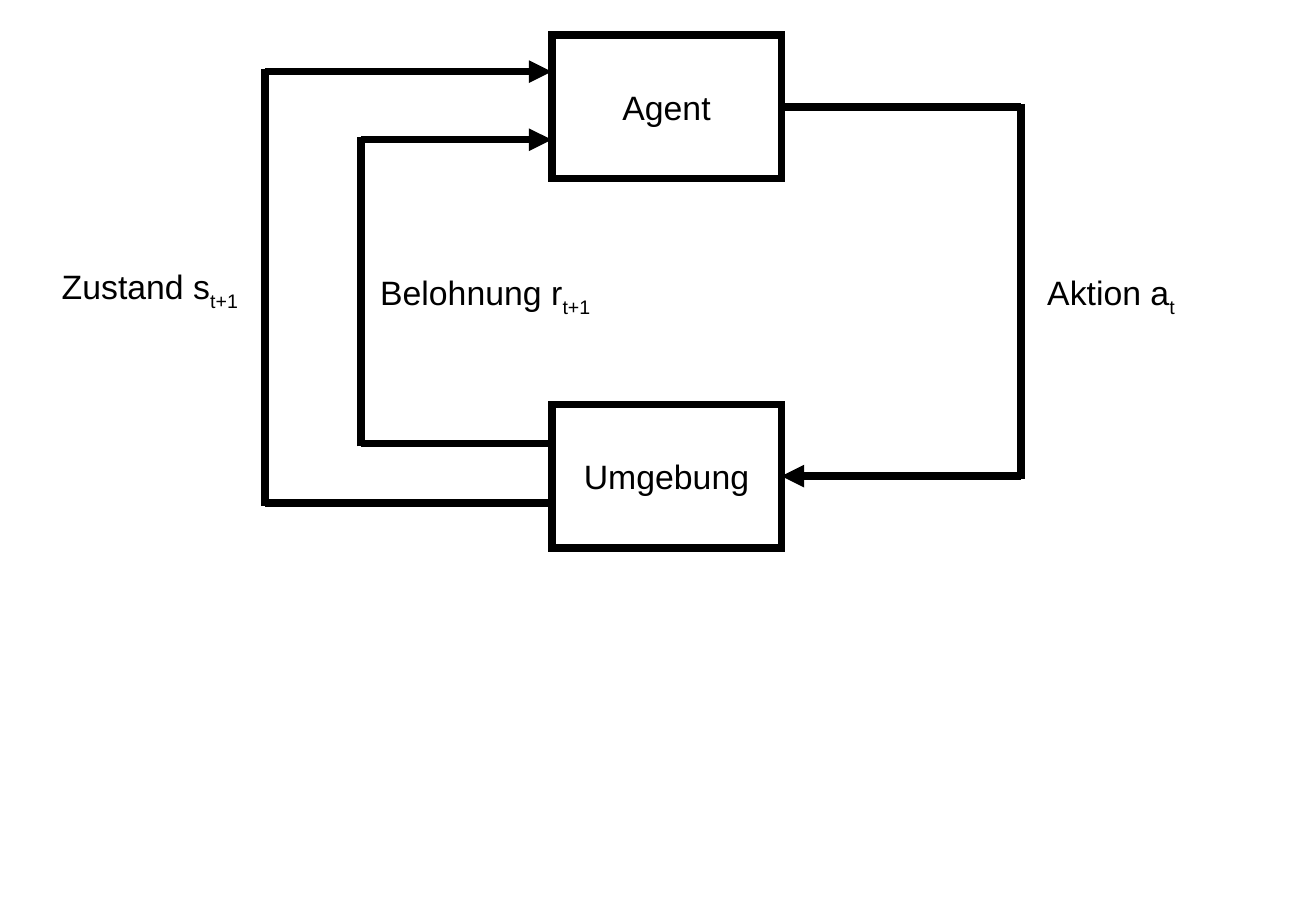
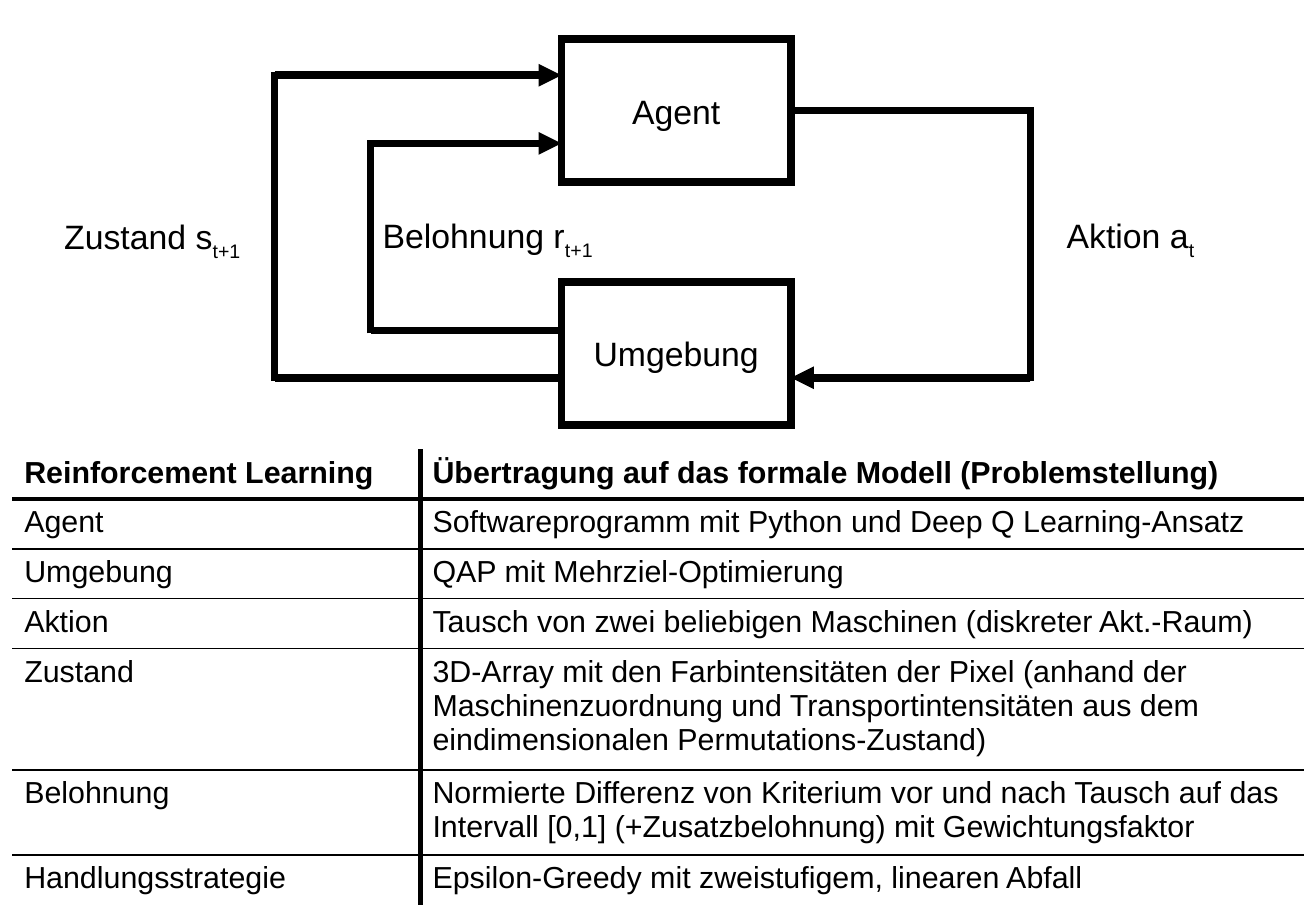
from dataclasses import dataclass

from lxml.etree import SubElement as Sub
from pptx import Presentation
from pptx.dml.color import RGBColor as Rgb
from pptx.enum.shapes import MSO_CONNECTOR as Conn, MSO_SHAPE as Form
from pptx.enum.text import MSO_ANCHOR as Anchor, MSO_AUTO_SIZE as Auto, PP_ALIGN as Align
from pptx.oxml.ns import qn
from pptx.slide import Slide
from pptx.text.text import Font
from pptx.util import Inches, Pt

# Shared style; all lengths are cells of a 0.1 inch grid
COLORS = {"ink": "000000", "paper": "FFFFFF"}
FACE = "Arial"
CELL = 0.1
COLS, ROWS = 108.3, 75
LINE = 4.5
BOX_W, BOX_H = 18.9, 11.8
LAP = 0.25  # overhang that closes the loop corners
OUTER, INNER, RIGHT = 23.6, 15.7, 19.7  # loop distances from the boxes
NO_STYLE = "{2D5ABB26-0587-4C30-8999-92F81FD0307C}"


@dataclass(frozen=True)
class Label:
    text: str
    sub: str
    x: float
    y: float
    w: float = 17.7


@dataclass(frozen=True)
class Cycle:
    x: float       # left edge of both boxes
    agent: float   # top of the agent
    env: float     # top of the environment
    state: float   # port heights, measured from the top of the environment
    reward: float
    action: float
    labels: tuple[Label, ...]


@dataclass(frozen=True)
class Row:
    name: str
    text: str
    h: float = 4.1


CYCLES = (
    Cycle(45.4, 2.9, 33.3, 8.1, 3.2, 5.9, (
        Label("Belohnung r", "t+1", 30.3, 21.9, 19.8),
        Label("Zustand s", "t+1", 4.1, 21.4),
        Label("Aktion a", "t", 85.2, 21.9))),
    Cycle(46.2, 3.2, 23.2, 7.9, 4, 7.9, (
        Label("Belohnung r", "t+1", 30.5, 17.2, 19.8),
        Label("Zustand s", "t+1", 4.3, 17.3),
        Label("Aktion a", "t", 86.8, 17.2))),
)

TABLE = (
    Row("Reinforcement Learning", "Übertragung auf das formale Modell (Problemstellung)"),
    Row("Agent", "Softwareprogramm mit Python und Deep Q Learning-Ansatz"),
    Row("Umgebung", "QAP mit Mehrziel-Optimierung"),
    Row("Aktion", "Tausch von zwei beliebigen Maschinen (diskreter Akt.-Raum)"),
    Row("Zustand", "3D-Array mit den Farbintensitäten der Pixel (anhand der "
        "Maschinenzuordnung und Transportintensitäten aus dem "
        "eindimensionalen Permutations-Zustand)", 9.9),
    Row("Belohnung", "Normierte Differenz von Kriterium vor und nach Tausch auf das "
        "Intervall [0,1] (+Zusatzbelohnung) mit Gewichtungsfaktor", 6.9),
    Row("Handlungsstrategie", "Epsilon-Greedy mit zweistufigem, linearen Abfall"),
)


def grid(*cells: float) -> list[int]:
    return [Inches(n * CELL) for n in cells]


def color(name: str) -> Rgb:
    return Rgb.from_string(COLORS[name])


def style(font: Font, size: float, bold: bool = False) -> None:
    font.name, font.size, font.bold = FACE, Pt(size), bold
    font.color.rgb = color("ink")


# Diagram parts
def box(slide: Slide, text: str, x: float, y: float) -> None:
    rect = slide.shapes.add_shape(Form.RECTANGLE, *grid(x, y, BOX_W, BOX_H))
    rect.shadow.inherit = False
    rect.fill.solid()
    rect.fill.fore_color.rgb = color("paper")
    rect.line.color.rgb = color("ink")
    rect.line.width = Pt(LINE)
    Sub(rect.line._get_or_add_ln(), qn("a:miter"), lim="800000")
    frame = rect.text_frame
    frame.text = text
    frame.vertical_anchor = Anchor.MIDDLE
    para = frame.paragraphs[0]
    para.alignment = Align.CENTER
    style(para.runs[0].font, 20)


def line(slide: Slide, x1: float, y1: float, x2: float, y2: float,
         arrow: bool = False) -> None:
    link = slide.shapes.add_connector(Conn.STRAIGHT, *grid(x1, y1, x2, y2))
    link.line.color.rgb = color("ink")
    link.line.width = Pt(LINE)
    if arrow:
        Sub(link.line._get_or_add_ln(), qn("a:tailEnd"), type="triangle")
    Sub(link._element.spPr, qn("a:effectLst"))


def loop(slide: Slide, edge: float, side: float, start: float, end: float) -> None:
    """Leave a box edge at start, run along side, and point back at end."""
    lap = LAP if end > start else -LAP
    line(slide, edge, start, side, start)
    line(slide, side, start - lap, side, end + lap)
    line(slide, side, end, edge, end, arrow=True)


def label(slide: Slide, item: Label) -> None:
    area = slide.shapes.add_textbox(*grid(item.x, item.y, item.w, 4.4))
    frame = area.text_frame
    frame.word_wrap = True
    frame.auto_size = Auto.SHAPE_TO_FIT_TEXT
    para = frame.paragraphs[0]
    para.text = item.text
    para.add_run().text = item.sub
    for run in para.runs:
        style(run.font, 20)
    para.runs[1].font._element.set("baseline", "-25000")


def draw(slide: Slide, plan: Cycle) -> None:
    left, right = plan.x, plan.x + BOX_W
    box(slide, "Agent", left, plan.agent)
    box(slide, "Umgebung", left, plan.env)
    loop(slide, right, right + RIGHT, plan.agent + BOX_H / 2, plan.env + plan.action)
    loop(slide, left, left - INNER, plan.env + plan.reward, plan.agent + 8.6)
    loop(slide, left, left - OUTER, plan.env + plan.state, plan.agent + 3)
    for item in plan.labels:
        label(slide, item)


# Table
def rule(cell, side: str, width: float) -> None:
    edge = Sub(cell._tc.get_or_add_tcPr(), qn(f"a:ln{side}"), w=str(Pt(width)))
    fill = Sub(edge, qn("a:solidFill"))
    Sub(fill, qn("a:srgbClr"), val=COLORS["ink"])


def table(slide: Slide, rows: tuple[Row, ...]) -> None:
    wide = (33.6, 72.7)
    high = sum(row.h for row in rows)
    grid_box = slide.shapes.add_table(len(rows), 2, *grid(1, 37, sum(wide), high))
    tab = grid_box.table
    tab.first_row = tab.horz_banding = False
    tab._tbl.tblPr.find(qn("a:tableStyleId")).text = NO_STYLE
    for col, size in zip(tab.columns, grid(*wide)):
        col.width = size
    for i, row in enumerate(rows):
        tab.rows[i].height = grid(row.h)[0]
        for j, text in enumerate((row.name, row.text)):
            cell = tab.cell(i, j)
            cell.text = text
            style(cell.text_frame.paragraphs[0].runs[0].font, 18, bold=i == 0)
            rule(cell, "L" if j else "R", 3)
            if i > 0:
                rule(cell, "T", 3 if i == 1 else 1)
            if i < len(rows) - 1:
                rule(cell, "B", 1 if i else 3)
            cell.fill.background()


def main() -> None:
    deck = Presentation()
    deck.slide_width, deck.slide_height = grid(COLS, ROWS)
    blank = deck.slide_layouts[6]
    for plan in CYCLES:
        slide = deck.slides.add_slide(blank)
        draw(slide, plan)
    table(slide, TABLE)
    deck.save("out.pptx")


if __name__ == "__main__":
    main()
